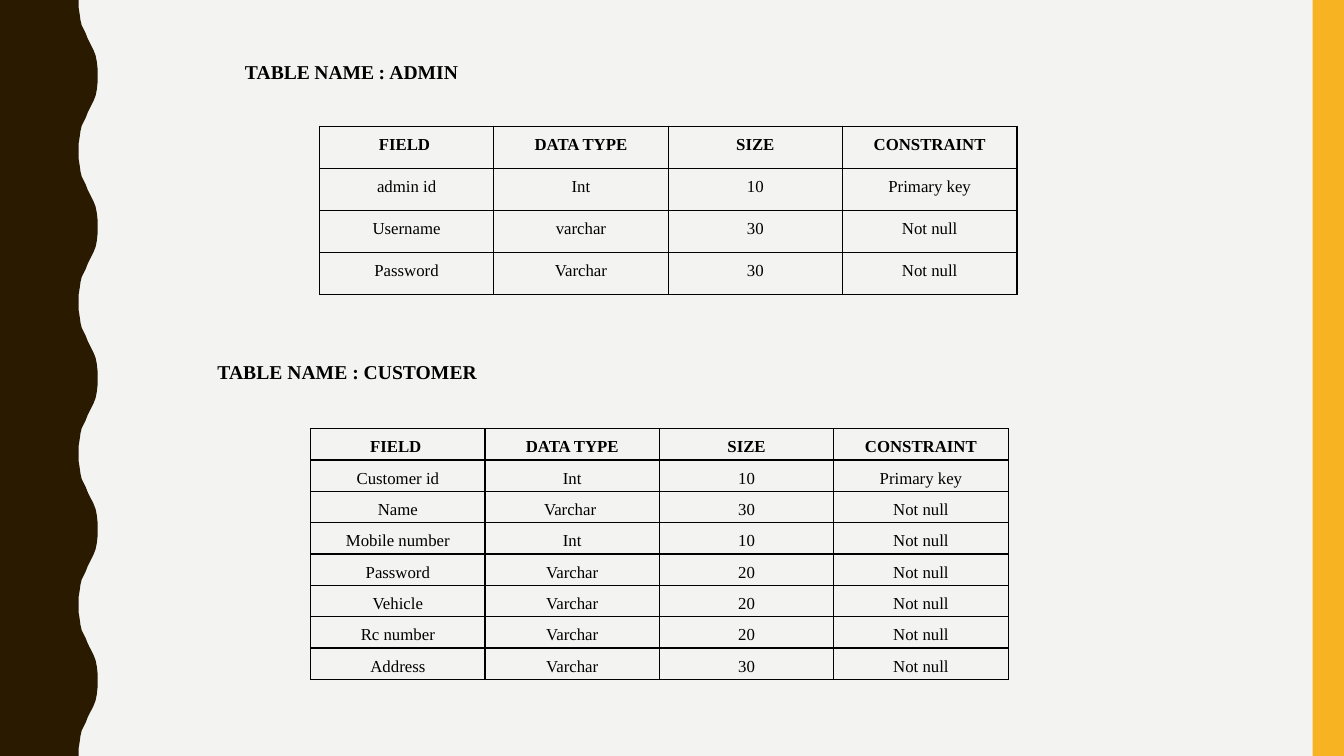
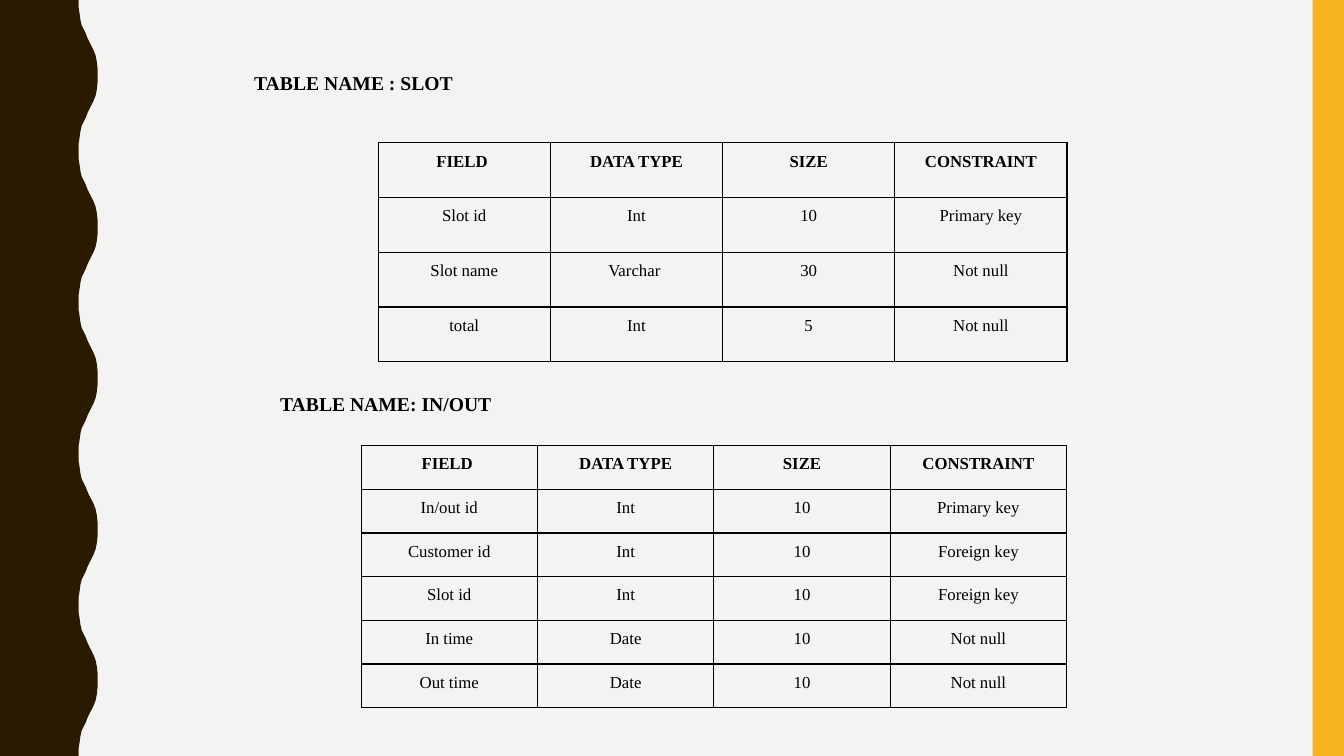
from lxml import etree
from pptx import Presentation
from pptx.dml.color import RGBColor
from pptx.enum import shapes, text
from pptx.oxml import ns
from pptx.util import Cm, Pt

PAPER = RGBColor(0xF3, 0xF3, 0xF2)
BROWN = RGBColor(0x2A, 0x1A, 0x00)
AMBER = RGBColor(0xF8, 0xB3, 0x23)
BLACK = RGBColor(0x00, 0x00, 0x00)
FONT = "Times New Roman"

WIDTH, HEIGHT = 33.87, 19.05
STRIPE_WIDTH = 0.79
WAVE_COUNT = 5
WAVE_PERIOD = HEIGHT / WAVE_COUNT
HALF_WAVE = [
    (1.98, 0), (1.98, 0.18), (2.01, 0.36), (2.03, 0.51), (2.06, 0.64),
    (2.11, 0.74), (2.16, 0.84), (2.21, 0.97), (2.26, 1.07), (2.31, 1.17),
    (2.36, 1.27), (2.41, 1.4), (2.44, 1.55), (2.46, 1.73), (2.46, 1.9),
]

HEADER = ("FIELD ", "DATA TYPE", "SIZE", "CONSTRAINT")
ADMIN = [
    ("admin id", "Int", "10", "Primary key"),
    ("Username", "varchar", "30", "Not null"),
    ("Password", "Varchar", "30", "Not null"),
]
CUSTOMER = [
    ("Customer id", "Int", "10", "Primary key"),
    ("Name", "Varchar ", "30", "Not null"),
    ("Mobile number", "Int", "10", "Not null"),
    ("Password", "Varchar", "20", "Not null"),
    ("Vehicle", "Varchar", "20", "Not null"),
    ("Rc number", "Varchar", "20", "Not null"),
    ("Address", "Varchar", "30", "Not null"),
]
SLOT = [
    ("Slot id", "Int", "10", "Primary key"),
    ("Slot name", "Varchar ", "30", "Not null"),
    ("total", "Int", "5", "Not null"),
]
IN_OUT = [
    ("In/out id", "Int", "10", "Primary key"),
    ("Customer id", "Int", "10", "Foreign key"),
    ("Slot id", "Int", "10", "Foreign key"),
    ("In time", "Date", "10", "Not null"),
    ("Out time", "Date", "10", "Not null"),
]


def wave_points():
    """Return the outline of the wavy band from its top right corner, in EMU."""
    mirrored = [(x, WAVE_PERIOD - y) for x, y in reversed(HALF_WAVE)]
    edge = [(x, y + n * WAVE_PERIOD)
            for n in range(WAVE_COUNT) for x, y in HALF_WAVE + mirrored]
    return [(Cm(x), Cm(y)) for x, y in edge + [(0, HEIGHT)]]


def decorate_layout(layout, slide):
    """Draw the wavy band and the stripe, then hand them to the shared layout."""
    outline = slide.shapes.build_freeform(0, 0)
    outline.add_line_segments(wave_points(), close=True)
    wave = outline.convert_to_shape()
    stripe = slide.shapes.add_shape(
        shapes.MSO_SHAPE.RECTANGLE,
        Cm(WIDTH - STRIPE_WIDTH), 0, Cm(STRIPE_WIDTH), Cm(HEIGHT))
    for index, (band, colour) in enumerate([(wave, BROWN), (stripe, AMBER)]):
        band.shadow.inherit = False
        band.fill.solid()
        band.fill.fore_color.rgb = colour
        band.line.fill.background()
        band.element.xpath("./p:nvSpPr/p:cNvPr")[0].set("id", str(101 + index))
        layout.shapes.element.insert(2 + index, band.element)


def add_run(paragraph, words, size, bold):
    """Add one run in the shared font."""
    run = paragraph.add_run()
    run.text = words
    run.font.name = FONT
    run.font.size = Pt(size)
    run.font.bold = bold
    run.font.color.rgb = BLACK


def fill_heading(heading, left, top, words, gap_size=14):
    """Place a table heading and write its words, with spaces of their own size."""
    heading.left, heading.top = Cm(left), Cm(top)
    heading.width, heading.height = Cm(8), Cm(0.86)
    frame = heading.text_frame
    frame.word_wrap = True
    frame.auto_size = text.MSO_AUTO_SIZE.NONE
    frame.vertical_anchor = text.MSO_ANCHOR.MIDDLE
    paragraph = frame.paragraphs[0]
    paragraph.alignment = text.PP_ALIGN.LEFT
    for index, word in enumerate(words.split(" ")):
        if index:
            add_run(paragraph, " ", gap_size, True)
        add_run(paragraph, word, 14, True)


def outline_cell(cell):
    """Give a cell thin black borders and no fill."""
    properties = cell._tc.get_or_add_tcPr()
    for side in ("a:lnL", "a:lnR", "a:lnT", "a:lnB"):
        line = etree.SubElement(properties, ns.qn(side), w=str(Pt(1)))
        solid = etree.SubElement(line, ns.qn("a:solidFill"))
        etree.SubElement(solid, ns.qn("a:srgbClr"), val=str(BLACK))
    cell.fill.background()


def add_field_table(slide, left, top, width, row_height, fields):
    """Add a table of fields under the common header row."""
    rows = [HEADER] + fields
    table = slide.shapes.add_table(
        len(rows), len(HEADER), Cm(left), Cm(top),
        Cm(width), Cm(row_height * len(rows))).table
    table.first_row = table.horz_banding = False
    for row_index, row in enumerate(rows):
        table.rows[row_index].height = Cm(row_height)
        for column_index, value in enumerate(row):
            cell = table.cell(row_index, column_index)
            outline_cell(cell)
            cell.margin_left = cell.margin_right = Cm(0.18)
            cell.margin_top = cell.margin_bottom = 0
            paragraph = cell.text_frame.paragraphs[0]
            paragraph.alignment = text.PP_ALIGN.CENTER
            paragraph.line_spacing = 1.5
            paragraph.space_after = Pt(10)
            add_run(paragraph, value, 12, row_index == 0)


def add_second_heading(slide, left, top, words):
    """Add the heading of the lower table."""
    fill_heading(slide.shapes.add_textbox(0, 0, 0, 0), left, top, words)


def build_admin_customer(slide):
    """Fill the slide with the admin and customer tables."""
    fill_heading(slide.shapes.title, 5.92, 1.37, "TABLE NAME : ADMIN", gap_size=12)
    add_field_table(slide, 8.05, 3.18, 17.58, 1.06, ADMIN)
    add_second_heading(slide, 5.23, 8.94, "TABLE NAME : CUSTOMER")
    add_field_table(slide, 7.83, 10.8, 17.58, 0.79, CUSTOMER)


def build_slot_in_out(slide):
    """Fill the slide with the slot and in/out tables."""
    fill_heading(slide.shapes.title, 6.15, 1.65, "TABLE NAME : SLOT")
    add_field_table(slide, 9.53, 3.6, 17.36, 1.38, SLOT)
    add_second_heading(slide, 6.81, 9.73, "TABLE NAME: IN/OUT")
    add_field_table(slide, 9.1, 11.23, 17.78, 1.1, IN_OUT)


def main():
    """Build and save the presentation."""
    deck = Presentation()
    deck.slide_width, deck.slide_height = Cm(WIDTH), Cm(HEIGHT)
    background = deck.slide_master.background.fill
    background.solid()
    background.fore_color.rgb = PAPER
    layout = deck.slide_layouts.get_by_name("Title Only")
    first, second = [deck.slides.add_slide(layout) for _ in range(2)]
    decorate_layout(layout, first)
    build_admin_customer(first)
    build_slot_in_out(second)
    deck.save("out.pptx")


if __name__ == "__main__":
    main()
